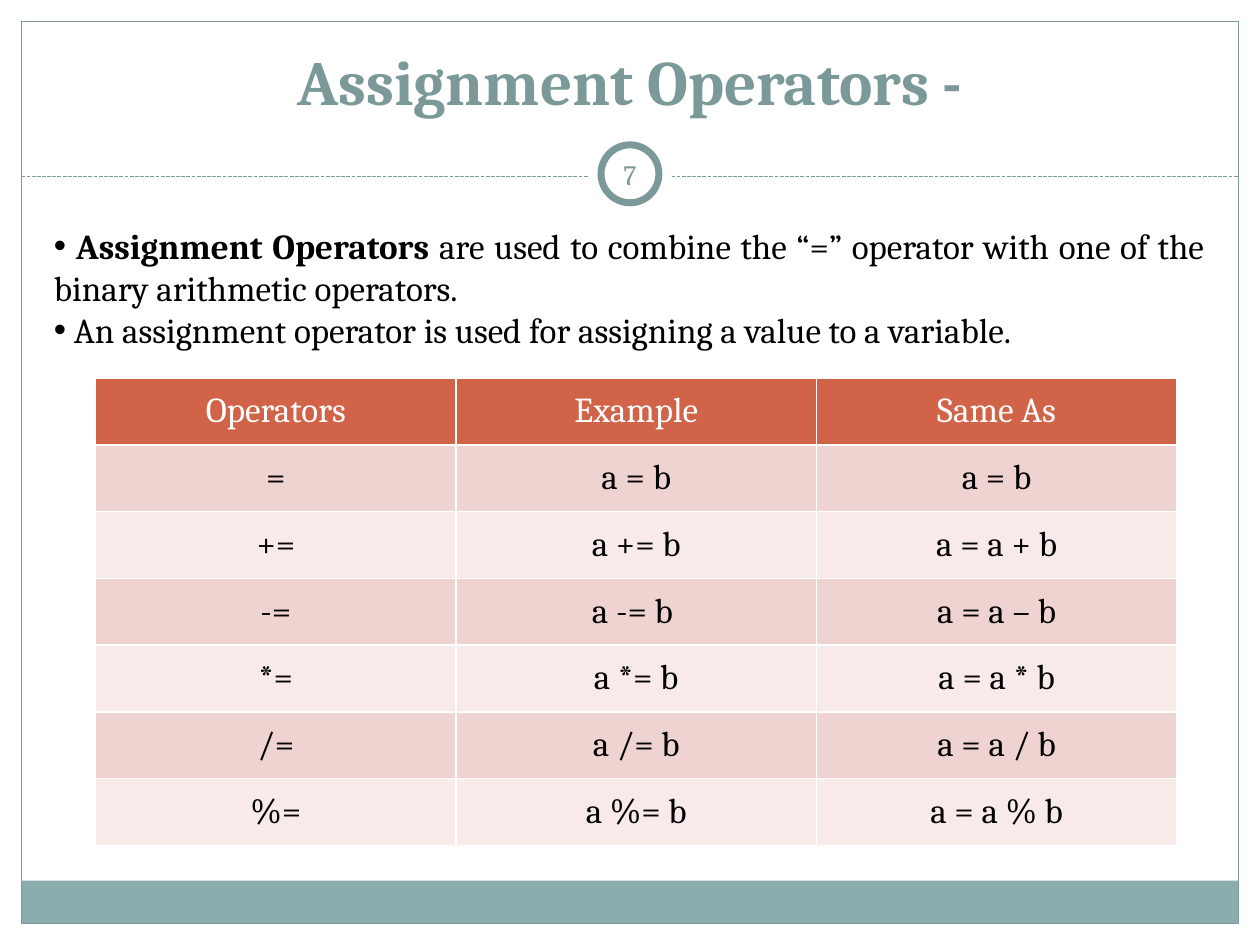
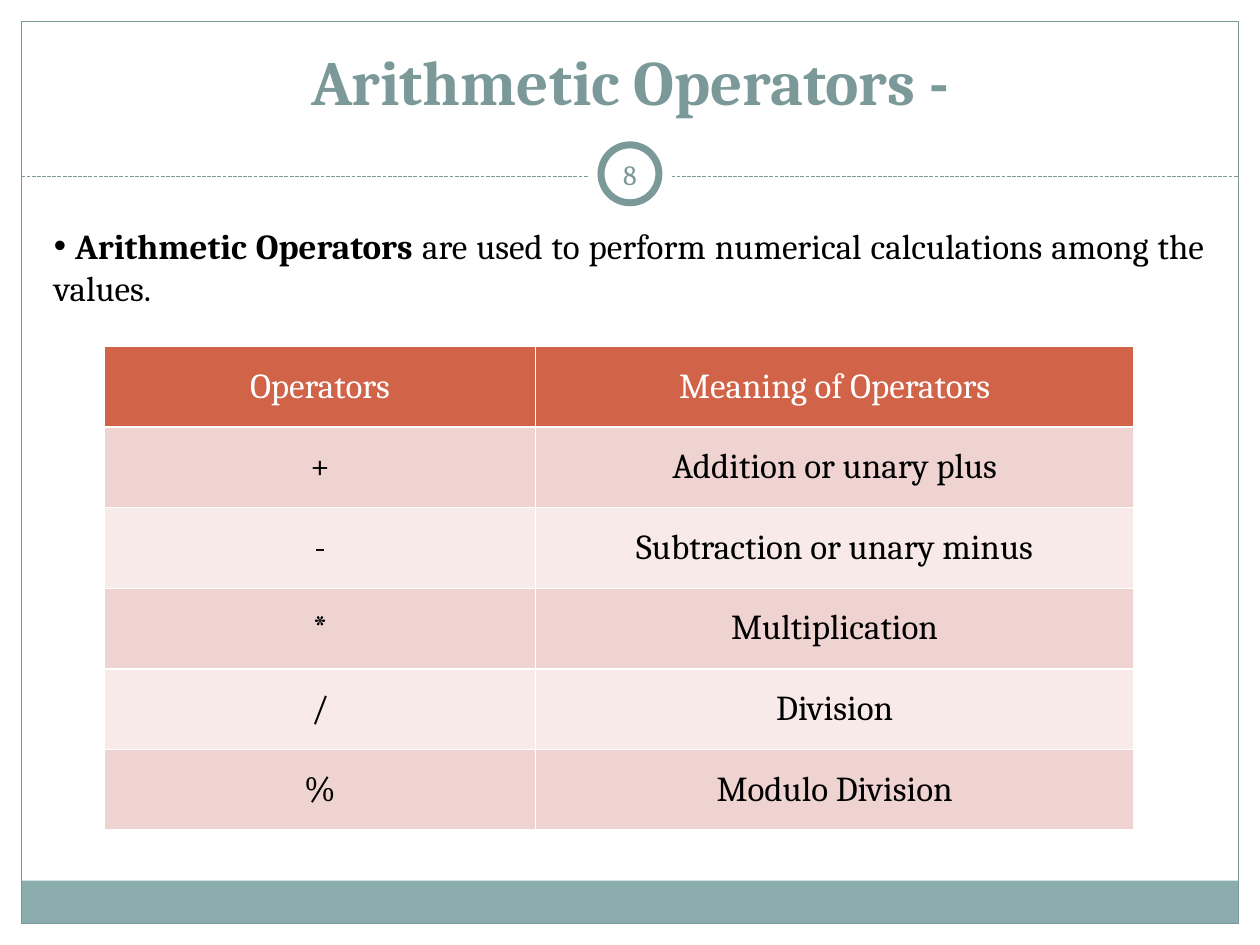
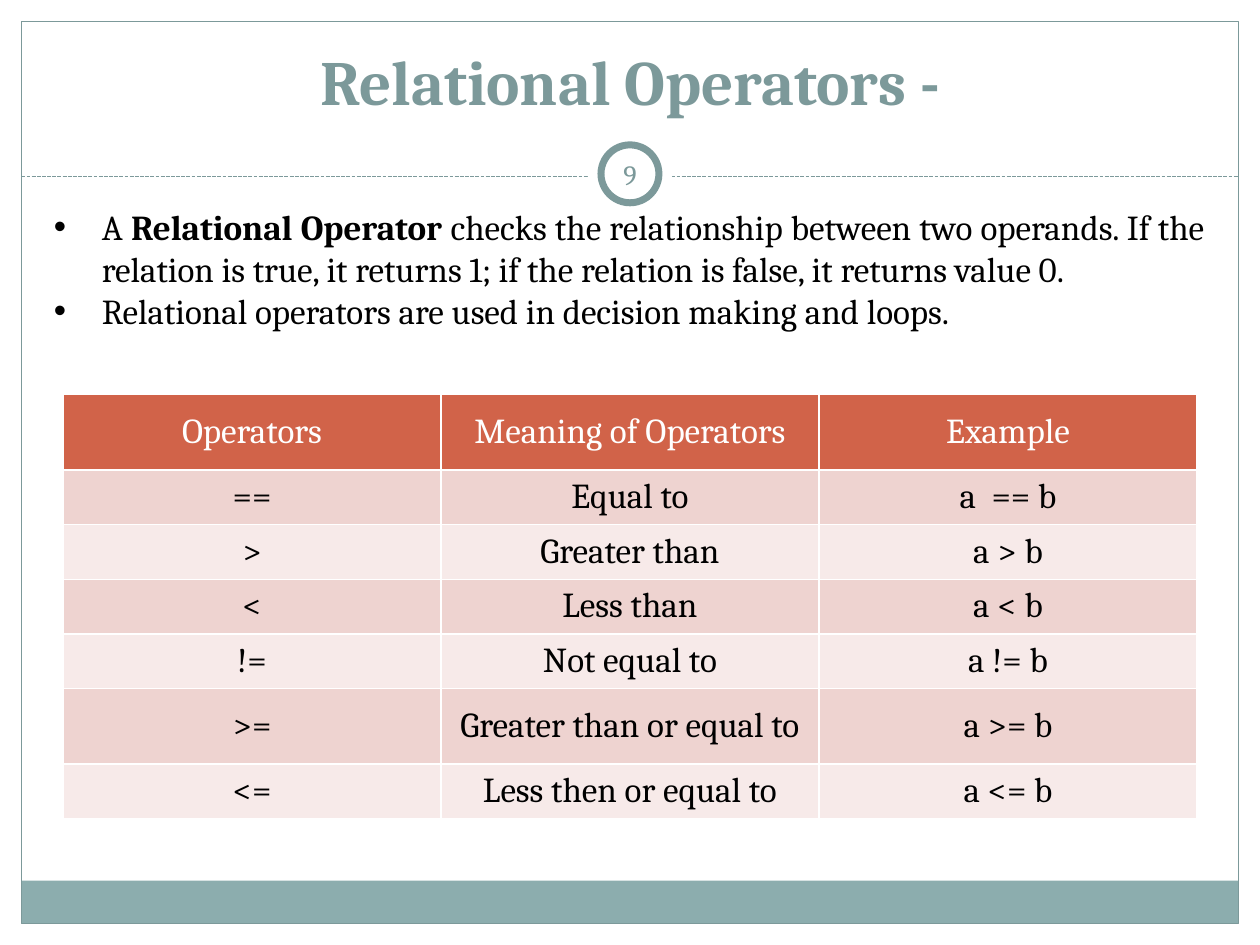
from lxml import etree
from pptx import Presentation
from pptx.dml.color import RGBColor
from pptx.enum.dml import MSO_LINE
from pptx.enum.shapes import MSO_CONNECTOR, MSO_SHAPE
from pptx.enum.text import MSO_ANCHOR, MSO_AUTO_SIZE, PP_ALIGN
from pptx.oxml.ns import qn
from pptx.util import Inches, Pt

RECTANGLE, OVAL = MSO_SHAPE.RECTANGLE, MSO_SHAPE.OVAL
STRAIGHT, DASH = MSO_CONNECTOR.STRAIGHT, MSO_LINE.SQUARE_DOT
CENTER, JUSTIFY = PP_ALIGN.CENTER, PP_ALIGN.JUSTIFY
MIDDLE, BOTTOM = MSO_ANCHOR.MIDDLE, MSO_ANCHOR.BOTTOM
FIXED_SIZE = MSO_AUTO_SIZE.NONE

WIDTH, HEIGHT, MARGIN = 10, 7.5, 0.17
BAND_HEIGHT, DIVIDER_TOP, BADGE_MIDDLE = 0.34, 1.4, 1.38
FONT = "Cambria"
ACCENT, BAND, WHITE, BLACK = "7C999A", "8CADAE", "FFFFFF", "000000"
HEADER_FILL, ROW_FILLS = "D16349", ("EED3D0", "F7EAE9")

SLIDES = [
    {
        "title": "Assignment Operators -",
        "number": 7,
        "text_top": 1.73,
        "text_height": 1.11,
        "indent": 0,
        "bullets": [
            [(" ", False), ("Assignment Operators", True),
             (" are used to combine the “=” operator with one of the binary arithmetic operators.", False)],
            [(" An assignment operator is used for assigning a value to a variable.", False)],
        ],
        "table_at": (0.76, 3),
        "columns": [2.86] * 3,
        "row_heights": [0.53] * 7,
        "side_inset": 0.1,
        "rows": [
            ("Operators", "Example", "Same As"),
            ("=", "a = b", "a = b"),
            ("+=", "a += b", "a = a + b"),
            ("-=", "a -= b ", "a = a – b"),
            ("*=", "a *= b", "a = a * b"),
            ("/=", "a /= b", "a = a / b"),
            ("%=", "a %= b", "a = a % b"),
        ],
    },
    {
        "title": "Arithmetic Operators -",
        "number": 8,
        "text_top": 1.73,
        "text_height": 0.77,
        "indent": 0,
        "bullets": [
            [(" ", False), ("Arithmetic Operators ", True),
             ("are used to perform numerical calculations among the values.", False)],
        ],
        "table_at": (0.83, 2.75),
        "columns": [3.42, 4.75],
        "row_heights": [0.64] * 6,
        "side_inset": 0.07,
        "rows": [
            ("Operators", "Meaning of Operators"),
            ("+", "Addition or unary plus"),
            ("-", "Subtraction or unary minus"),
            ("*", "Multiplication"),
            ("/", "Division"),
            ("%", "Modulo Division"),
        ],
    },
    {
        "title": "Relational Operators -",
        "number": 9,
        "text_top": 1.58,
        "text_height": 1.45,
        "indent": 0.38,
        "bullets": [
            [("A ", False), ("Relational Operator", True),
             (" checks the relationship between two operands. If the relation is true, "
              "it returns 1; if the relation is false, it returns value 0.", False)],
            [("Relational operators are used in decision making and loops.", False)],
        ],
        "table_at": (0.5, 3.13),
        "columns": [3] * 3,
        "row_heights": [0.6, 0.43, 0.43, 0.43, 0.43, 0.6, 0.43],
        "side_inset": 0.1,
        "rows": [
            ("Operators", "Meaning of Operators", "Example"),
            ("==", "Equal to", "a  == b"),
            (">", "Greater than", "a > b"),
            ("<", "Less than", "a < b"),
            ("!=", "Not equal to", "a != b"),
            (">=", "Greater than or equal to", "a >= b"),
            ("<=", "Less then or equal to", "a <= b"),
        ],
    },
]


def color(value):
    return RGBColor.from_string(value)


def inches(*lengths):
    return [Inches(length) for length in lengths]


def write(paragraph, text, size=20, fill=BLACK, bold=False, align=CENTER):
    paragraph.alignment = align
    run = paragraph.add_run()
    run.text = text
    run.font.name = FONT
    run.font.size = Pt(size)
    run.font.bold = bold
    run.font.color.rgb = color(fill)


def add_panel(slide, kind, box, fill=None, line=None, line_width=0.75):
    shape = slide.shapes.add_shape(kind, *inches(*box))
    shape.shadow.inherit = False
    if fill:
        shape.fill.solid()
        shape.fill.fore_color.rgb = color(fill)
    else:
        shape.fill.background()
    if line:
        shape.line.color.rgb = color(line)
        shape.line.width = Pt(line_width)
    else:
        shape.line.fill.background()


def add_divider(slide):
    connector = slide.shapes.add_connector(
        STRAIGHT, *inches(MARGIN, DIVIDER_TOP, WIDTH - MARGIN, DIVIDER_TOP))
    connector.line.color.rgb = color(ACCENT)
    connector.line.width = Pt(0.75)
    connector.line.dash_style = DASH
    etree.SubElement(connector._element.spPr, qn("a:effectLst"))


def centered_box(width, height):
    return (WIDTH - width) / 2, BADGE_MIDDLE - height / 2, width, height


def add_frame(slide, number):
    inner_width = WIDTH - 2 * MARGIN
    band_top = HEIGHT - MARGIN - BAND_HEIGHT
    add_panel(slide, RECTANGLE, (MARGIN, band_top, inner_width, BAND_HEIGHT), fill=BAND)
    add_panel(slide, RECTANGLE, (MARGIN, MARGIN, inner_width, HEIGHT - 2 * MARGIN), line=ACCENT)
    add_divider(slide)
    add_panel(slide, OVAL, centered_box(0.67, 0.67), fill=WHITE)
    add_panel(slide, OVAL, centered_box(0.46, 0.46), fill=WHITE, line=ACCENT, line_width=4)
    frame = slide.shapes.add_textbox(*inches(*centered_box(0.5, 0.48))).text_frame
    frame.word_wrap = True
    frame.vertical_anchor = MIDDLE
    frame.margin_left = frame.margin_right = Inches(0.05)
    write(frame.paragraphs[0], str(number), size=16, fill=ACCENT)


def set_title(slide, text):
    title = slide.shapes.title
    title.left, title.top, title.width, title.height = inches(0.69, 0.4, 8.62, 0.59)
    frame = title.text_frame
    frame.auto_size = FIXED_SIZE
    frame.vertical_anchor = BOTTOM
    write(frame.paragraphs[0], text, size=36, fill=ACCENT, bold=True)


def add_bullet(paragraph, indent):
    properties = paragraph._p.get_or_add_pPr()
    properties.set("marL", str(Inches(indent)))
    properties.set("indent", str(-Inches(indent)))
    etree.SubElement(properties, qn("a:buFont"), typeface="Arial")
    etree.SubElement(properties, qn("a:buChar"), char="•")


def add_bullets(slide, content):
    box = 0.33, content["text_top"], 9.33, content["text_height"]
    frame = slide.shapes.add_textbox(*inches(*box)).text_frame
    frame.word_wrap = True
    for index, runs in enumerate(content["bullets"]):
        paragraph = frame.add_paragraph() if index else frame.paragraphs[0]
        add_bullet(paragraph, content["indent"])
        for text, bold in runs:
            write(paragraph, text, bold=bold, align=JUSTIFY)


def set_borders(cell):
    properties = cell._tc.get_or_add_tcPr()
    for side in ("lnL", "lnR", "lnT", "lnB"):
        border = etree.SubElement(properties, qn(f"a:{side}"), w=str(Pt(1)))
        fill = etree.SubElement(border, qn("a:solidFill"))
        etree.SubElement(fill, qn("a:srgbClr"), val=WHITE)


def add_operator_table(slide, content):
    rows, columns, heights = content["rows"], content["columns"], content["row_heights"]
    box = *content["table_at"], sum(columns), sum(heights)
    table = slide.shapes.add_table(len(rows), len(columns), *inches(*box)).table
    for column, width in zip(table.columns, columns):
        column.width = Inches(width)
    for row, height in zip(table.rows, heights):
        row.height = Inches(height)
    for row_index, texts in enumerate(rows):
        header = row_index == 0
        for column_index, text in enumerate(texts):
            cell = table.cell(row_index, column_index)
            set_borders(cell)
            cell.fill.solid()
            cell.fill.fore_color.rgb = color(HEADER_FILL if header else ROW_FILLS[(row_index - 1) % 2])
            cell.vertical_anchor = MIDDLE
            cell.margin_left = cell.margin_right = Inches(content["side_inset"])
            write(cell.text_frame.paragraphs[0], text, fill=WHITE if header else BLACK)


def main():
    presentation = Presentation()
    presentation.slide_width, presentation.slide_height = inches(WIDTH, HEIGHT)
    for content in SLIDES:
        slide = presentation.slides.add_slide(presentation.slide_layouts[5])
        set_title(slide, content["title"])
        add_frame(slide, content["number"])
        add_bullets(slide, content)
        add_operator_table(slide, content)
    presentation.save("out.pptx")


if __name__ == "__main__":
    main()
